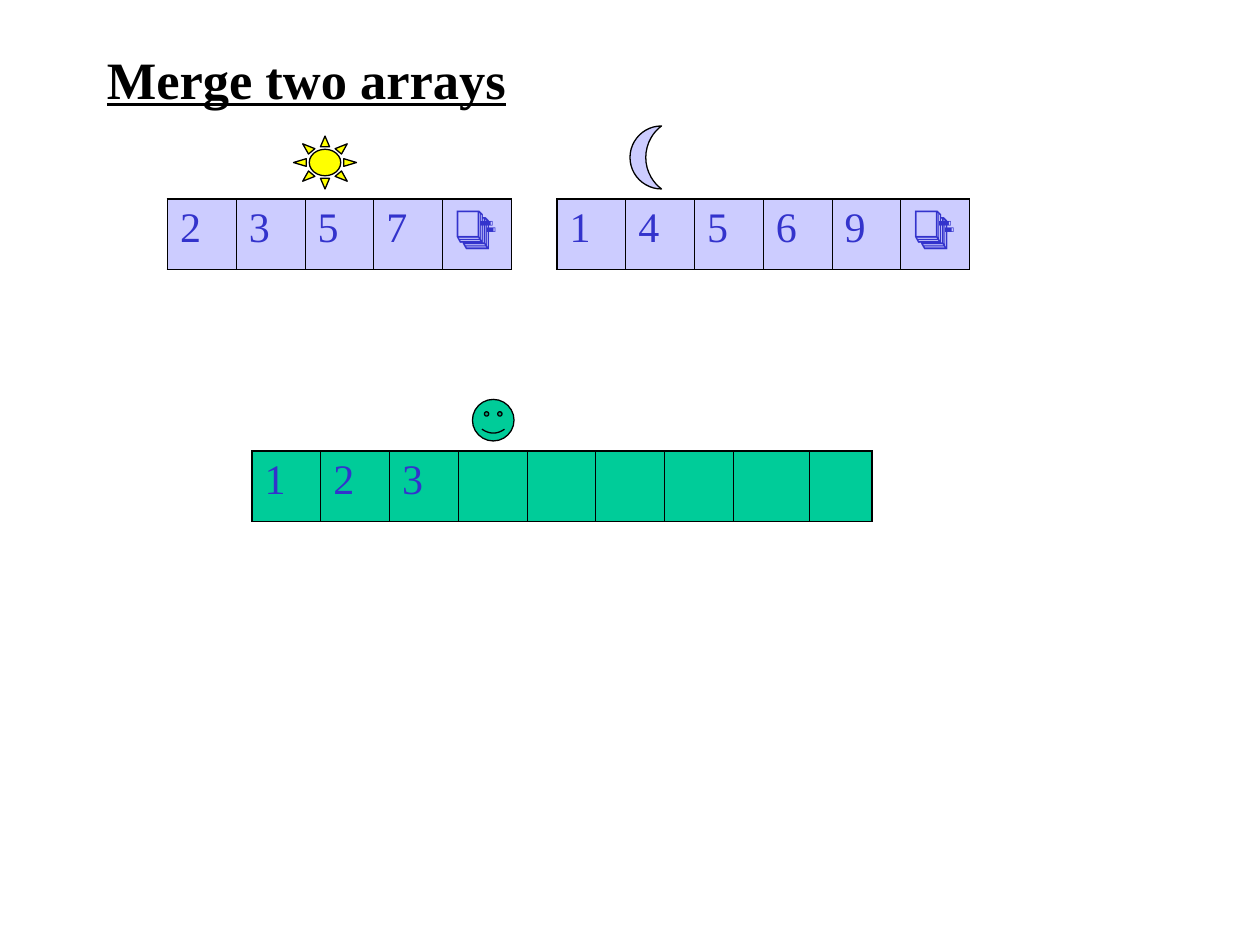
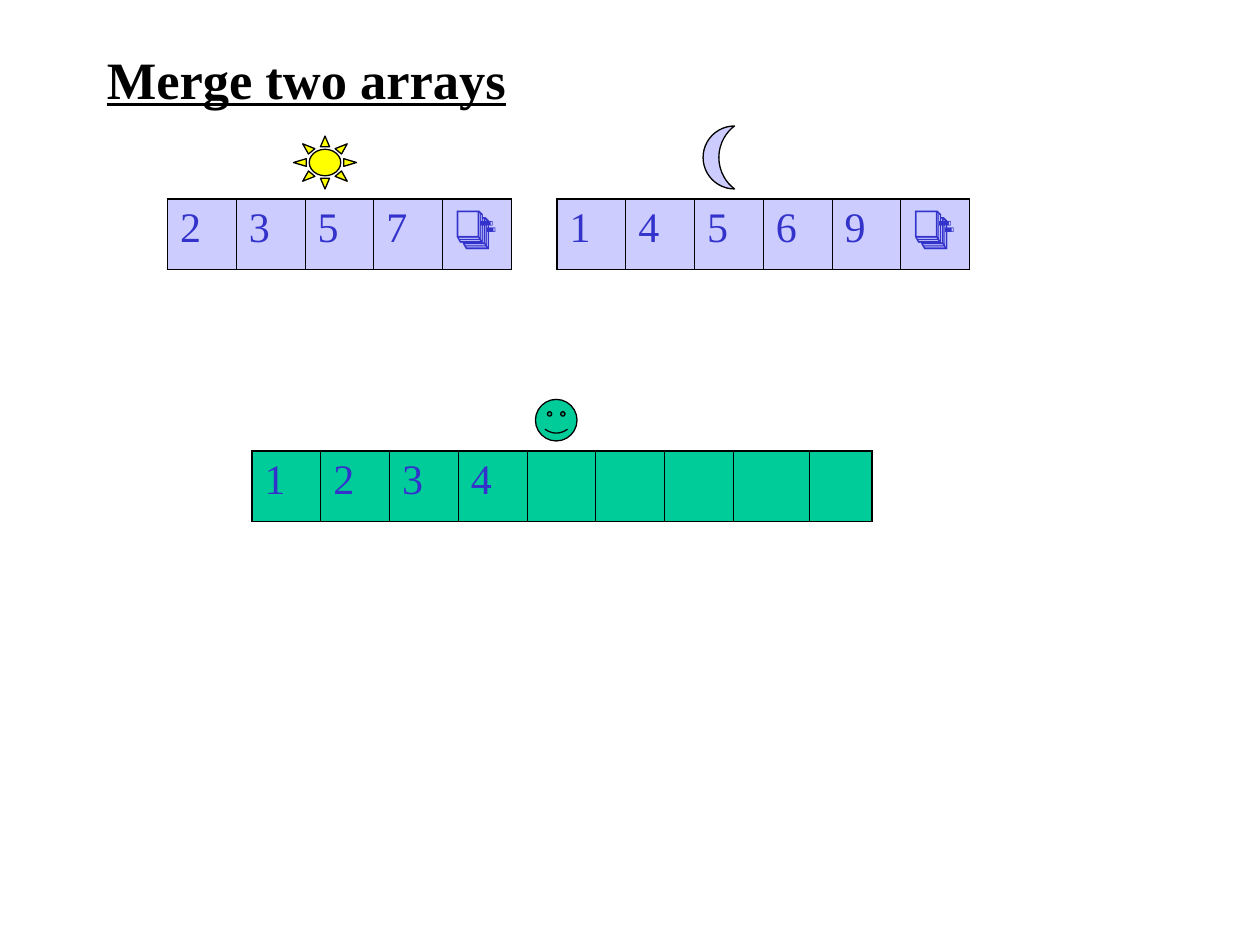
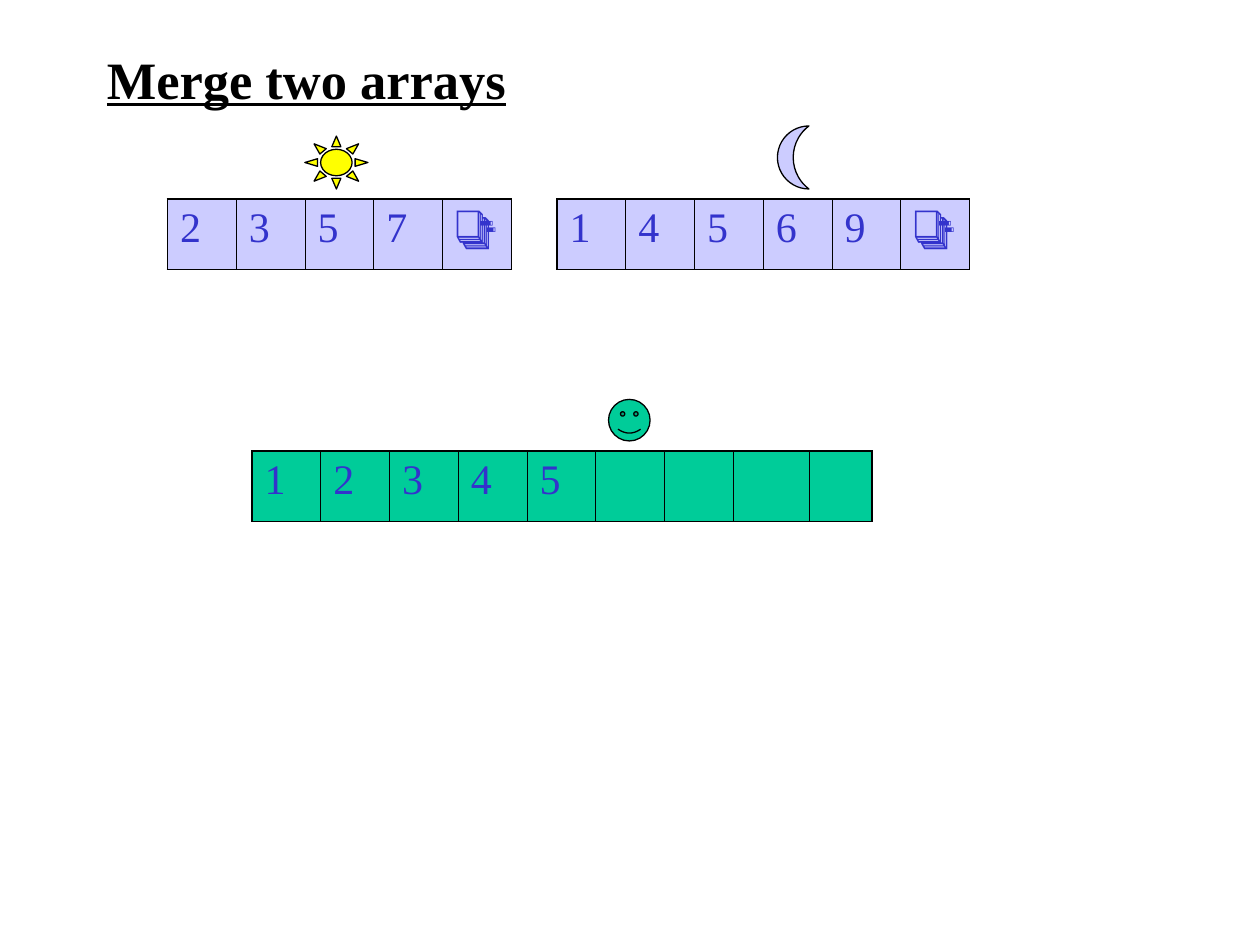
from dataclasses import dataclass

from lxml.etree import SubElement
from pptx import Presentation
from pptx.dml.color import RGBColor as Rgb
from pptx.enum.shapes import MSO_SHAPE as Preset
from pptx.enum.text import MSO_ANCHOR as Anchor
from pptx.oxml.ns import qn
from pptx.util import Inches, Pt


@dataclass(frozen=True)
class Theme:
    font: str = "Times New Roman"
    ink: Rgb = Rgb(0, 0, 0)
    value: Rgb = Rgb(0x33, 0x33, 0xCC)
    source: Rgb = Rgb(0xCC, 0xCC, 0xFF)
    merged: Rgb = Rgb(0x00, 0xCC, 0x99)
    sun: Rgb = Rgb(0xFF, 0xFF, 0x00)
    title_size: Pt = Pt(30)
    value_size: Pt = Pt(24)
    outline: Pt = Pt(0.75)
    outer_edge: Pt = Pt(1.08)
    inner_edge: Pt = Pt(0.45)


THEME = Theme()
TITLE_FORMAT = {"name": THEME.font, "size": THEME.title_size, "bold": True, "underline": True}
VALUE_FORMAT = {"name": THEME.font, "size": THEME.value_size}
SLOT = Inches(2.73 / 5)
SLOT_HEIGHT = Inches(0.56)
END_MARK = "📑"
LEFT_VALUES = ["2", "3", "5", "7", END_MARK]
RIGHT_VALUES = ["1", "4", "5", "6", "9", END_MARK]
MERGED_VALUES = ["1", "2", "3", "4", "5"]
MERGED_WIDTHS = [SLOT] * 7 + [Inches(0.6), Inches(0.5)]
STEPS = [
    {"sun": 2.33, "moon": 5, "smiley": 3.75, "filled": 3},
    {"sun": 2.33, "moon": 5.58, "smiley": 4.25, "filled": 4},
    {"sun": 2.42, "moon": 6.17, "smiley": 4.83, "filled": 5},
]


def write(para, text, formats, color):
    span = para.add_run()
    span.text = text
    for name, value in formats.items():
        setattr(span.font, name, value)
    span.font.color.rgb = color


def add_title(page, left, top, width, height):
    box = page.shapes.add_textbox(left, top, width, height)
    frame = box.text_frame
    for name, value in {"word_wrap": True, "vertical_anchor": Anchor.MIDDLE}.items():
        setattr(frame, name, value)
    write(frame.paragraphs[0], "Merge two arrays", TITLE_FORMAT, THEME.ink)


def set_edges(cell, is_first, is_last):
    widths = {
        "a:lnL": THEME.outer_edge if is_first else THEME.inner_edge,
        "a:lnR": THEME.outer_edge if is_last else THEME.inner_edge,
        "a:lnT": THEME.outer_edge,
        "a:lnB": THEME.outer_edge,
    }
    properties = cell._tc.get_or_add_tcPr()
    for tag, width in widths.items():
        edge = SubElement(properties, qn(tag), w=str(int(width)))
        fill = SubElement(edge, qn("a:solidFill"))
        SubElement(fill, qn("a:srgbClr"), val=str(THEME.ink))


def add_array(page, left, top, values, widths, color):
    table = page.shapes.add_table(1, len(widths), left, top, sum(widths), SLOT_HEIGHT).table
    for name in ("first_row", "horz_banding"):
        setattr(table, name, False)
    last = len(widths) - 1
    for index, width in enumerate(widths):
        table.columns[index].width = width
        cell = table.cell(0, index)
        set_edges(cell, index == 0, index == last)
        cell.fill.solid()
        cell.fill.fore_color.rgb = color
        if index < len(values):
            write(cell.text_frame.paragraphs[0], values[index], VALUE_FORMAT, THEME.value)


def add_marker(page, preset, left, top, width, height, color):
    marker = page.shapes.add_shape(preset, left, top, width, height)
    marker.shadow.inherit = False
    marker.fill.solid()
    marker.fill.fore_color.rgb = color
    marker.line.color.rgb = THEME.ink
    marker.line.width = THEME.outline


def add_merge_step(deck, step):
    page = deck.slides.add_slide(deck.slide_layouts[6])
    add_title(page, Inches(0.75), Inches(0.33), Inches(6.75), Inches(0.58))
    for left, values in ((1.33, LEFT_VALUES), (4.42, RIGHT_VALUES)):
        add_array(page, Inches(left), Inches(1.58), values, [SLOT] * len(values), THEME.source)
    add_array(page, Inches(2), Inches(3.58), MERGED_VALUES[:step["filled"]],
              MERGED_WIDTHS, THEME.merged)
    markers = (
        ("moon", Preset.MOON, 1, 0.25, 0.5, THEME.source),
        ("smiley", Preset.SMILEY_FACE, 3.17, 0.33, 0.33, THEME.merged),
        ("sun", Preset.SUN, 1.08, 0.5, 0.42, THEME.sun),
    )
    for name, preset, top, width, height, color in markers:
        add_marker(page, preset, Inches(step[name]), Inches(top),
                   Inches(width), Inches(height), color)


def main():
    deck = Presentation()
    deck.slide_width, deck.slide_height = Inches(10), Inches(7.5)
    for step in STEPS:
        add_merge_step(deck, step)
    deck.save("out.pptx")


if __name__ == "__main__":
    main()
